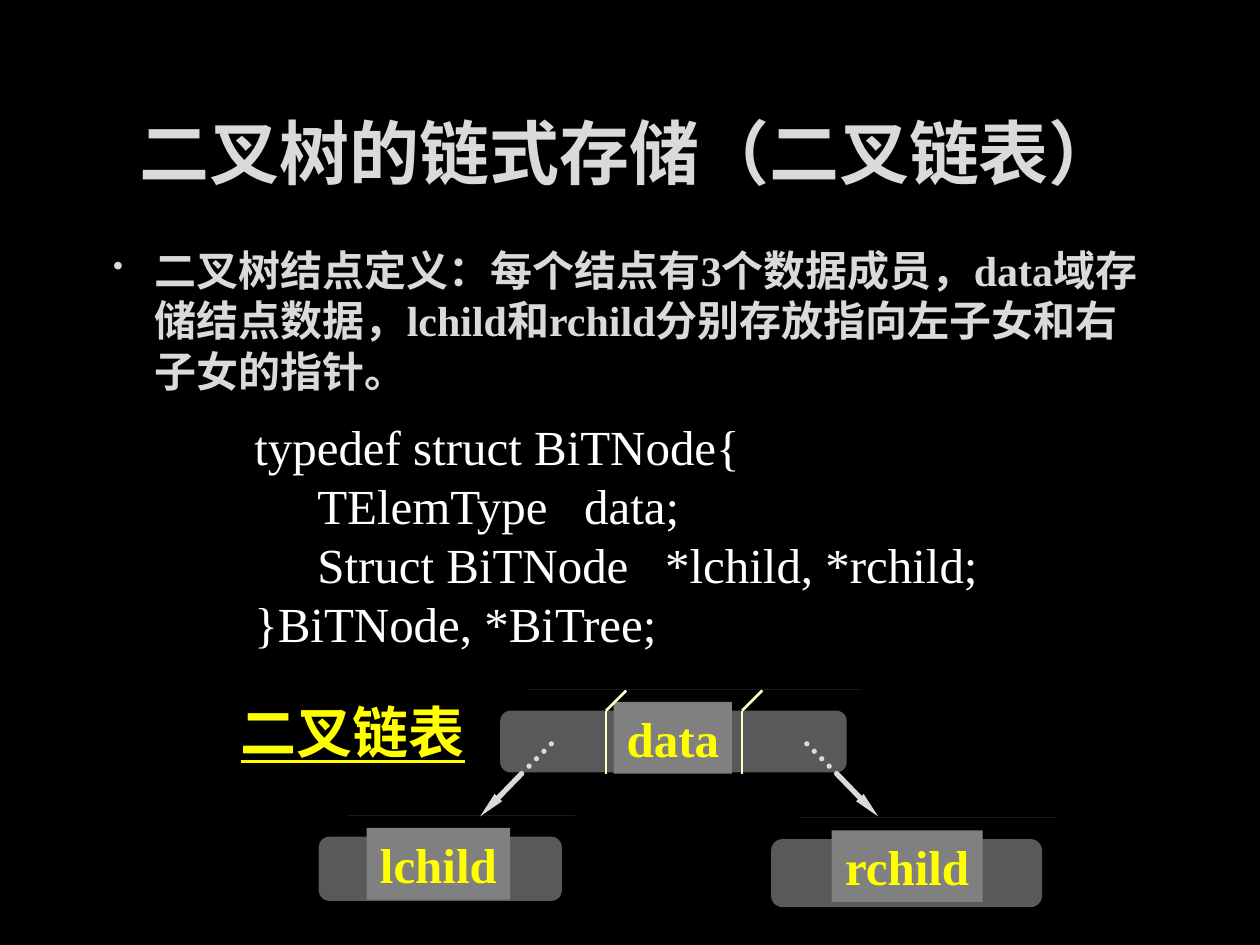
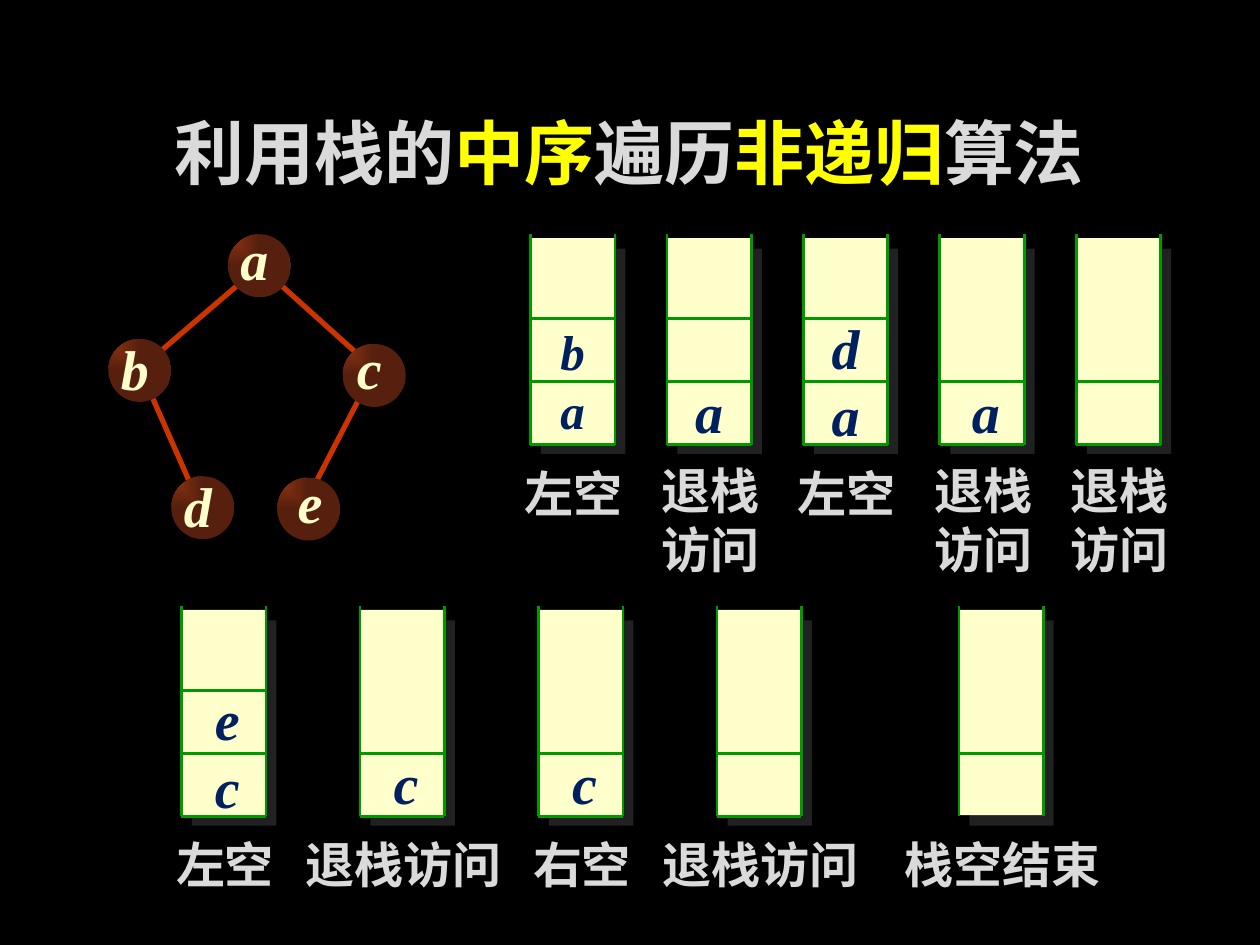
from pptx import Presentation
from pptx.dml.color import RGBColor
from pptx.enum.dml import MSO_LINE
from pptx.enum.shapes import MSO_CONNECTOR, MSO_SHAPE
from pptx.enum.text import MSO_ANCHOR, PP_ALIGN
from pptx.oxml import parse_xml
from pptx.oxml.ns import nsdecls, qn
from pptx.util import Inches, Pt

# The slide is a grid of 100 columns by 75 rows with square cells
COLS = 100
W, H = Inches(10), Inches(7.5)
CELL = W / COLS
FONT = "Times New Roman"
COLORS = {
    "background": "000000", "text": "DADADA", "code": "FFFFFF",
    "accent": "FFFF00", "block": "595959", "label": "808080",
    "rim": "1C1C1C", "cream": "FFFFCC", "edge": "CC3300",
    "node_light": "8F3514", "node_dark": "571F0D",
    "frame": "009900", "letter": "002060", "shadow": "212123",
}


def grid(n):
    return round(n * CELL)


def rgb(name):
    return RGBColor.from_string(COLORS[name])


def xml(tag, attrs="", inner=""):
    return parse_xml(f'<a:{tag} {nsdecls("a")} {attrs}>{inner}</a:{tag}>')


def add_slide(prs):
    s = prs.slides.add_slide(prs.slide_layouts[6])
    s.background.fill.solid()
    s.background.fill.fore_color.rgb = rgb("background")
    return s


def write(tf, lines, size=28, color="text", bold=True, italic=False,
          underline=False, align=PP_ALIGN.CENTER, anchor=MSO_ANCHOR.MIDDLE,
          wrap=False):
    """Each line is a string or a list of (text, colour) pairs."""
    tf.word_wrap = wrap
    tf.vertical_anchor = anchor
    for i, line in enumerate(lines):
        p = tf.paragraphs[0] if i == 0 else tf.add_paragraph()
        p.alignment = align
        for text, tint in [(line, color)] if isinstance(line, str) else line:
            r = p.add_run()
            r.text = text
            f = r.font
            f.name, f.size, f.color.rgb = FONT, Pt(size), rgb(tint)
            f.bold, f.italic, f.underline = bold, italic, underline
    return tf


def add_text(s, lines, x, y, w, h, **fmt):
    box = s.shapes.add_textbox(grid(x), grid(y), grid(w), grid(h))
    return write(box.text_frame, lines, **fmt)


def add_centered(s, lines, cx, cy, w=10, h=6, **fmt):
    return add_text(s, lines, cx - w / 2, cy - h / 2, w, h, **fmt)


def add_title(s, parts):
    add_text(s, [parts], 7.5, 6.7, 84.9, 10.6, size=40, wrap=True)


def add_box(s, kind, x, y, w, h, fill):
    sp = s.shapes.add_shape(kind, grid(x), grid(y), grid(w), grid(h))
    sp.shadow.inherit = False
    sp.line.fill.background()
    sp.fill.solid()
    sp.fill.fore_color.rgb = rgb(fill)
    return sp


def add_line(s, x1, y1, x2, y2, color, width, dotted=False, arrow=False):
    c = s.shapes.add_connector(MSO_CONNECTOR.STRAIGHT, grid(x1), grid(y1),
                               grid(x2), grid(y2))
    c.line.color.rgb = rgb(color)
    c.line.width = Pt(width)
    ln = c.line._get_or_add_ln()
    if dotted:
        c.line.dash_style = MSO_LINE.ROUND_DOT
        ln.set("cap", "rnd")
    if arrow:
        ln.append(xml("tailEnd", 'type="triangle" w="sm" len="lg"'))
    c._element.spPr.append(xml("effectLst"))


# Linked storage
def add_block(s, x, y, w, h):
    add_line(s, x + 2.3, y - 1.7, x + w + 1, y - 1.7, "rim", 0.25)
    add_box(s, MSO_SHAPE.ROUNDED_RECTANGLE, x, y, w, h, "block")


def add_field(s, text, x, y, w):
    sp = add_box(s, MSO_SHAPE.RECTANGLE, x, y, w, 5.7, "label")
    write(sp.text_frame, [text], color="accent")


def add_definition(s):
    tf = add_text(
        s, ["二叉树结点定义：每个结点有3个数据成员，data域存储结点数据，"
            "lchild和rchild分别存放指向左子女和右子女的指针。"],
        7.5, 18.9, 84.9, 13.4, size=24, align=PP_ALIGN.LEFT,
        anchor=MSO_ANCHOR.TOP, wrap=True)
    ppr = tf.paragraphs[0]._p.get_or_add_pPr()
    ppr.set("marL", str(grid(3.8)))
    ppr.set("indent", str(-grid(3.3)))
    ppr.append(xml("buClr", inner=f'<a:srgbClr val="{COLORS["text"]}"/>'))
    ppr.append(xml("buSzPct", 'val="70000"'))
    ppr.append(xml("buChar", 'char="•"'))


def add_code(s):
    tf = add_text(
        s, ["typedef struct BiTNode{", "\tTElemType   data;",
            "\tStruct BiTNode   *lchild, *rchild;", "}BiTNode, *BiTree;"],
        19.2, 32.6, 73.2, 19.9, color="code", bold=False,
        align=PP_ALIGN.LEFT, anchor=MSO_ANCHOR.TOP, wrap=True)
    for p in tf.paragraphs:
        stop = f'<a:tab pos="{grid(5)}" algn="l"/>'
        p._p.get_or_add_pPr().append(xml("tabLst", inner=stop))


def add_linked_node(s):
    add_block(s, 39.7, 56.4, 27.5, 4.9)
    add_block(s, 61.2, 66.6, 21.5, 5.4)
    add_block(s, 25.3, 66.4, 19.3, 5.1)
    add_field(s, "data", 48.7, 55.7, 9.4)
    add_field(s, "lchild", 29.1, 65.7, 11.4)
    add_field(s, "rchild", 66, 65.9, 12)
    for x in (48.1, 58.9):  # field dividers
        add_line(s, x, 61.4, x, 56.4, "cream", 1.5)
        add_line(s, x, 56.4, x + 1.6, 54.8, "cream", 1.5)
    for x, side in ((41.4, -1), (66.4, 1)):  # child pointers
        add_line(s, x, 61.4, x + side * 3.3, 64.8, "text", 3, arrow=True)
        add_line(s, x, 61.4, x - side * 2.5, 58.9, "text", 3, dotted=True)
    add_centered(s, ["二叉链表"], 28, 58, 19.9, size=32, color="accent",
                 underline=True)


# Inorder traversal
def add_tree_node(s, letter, x, y, dx, dy):
    """Centre of the circle, then the letter's shift from it."""
    sp = add_box(s, MSO_SHAPE.OVAL, x - 2.5, y - 2.5, 5, 5, "node_dark")
    sp.fill.gradient()
    for stop, name in zip(sp.fill.gradient_stops, ("node_light", "node_dark")):
        stop.color.rgb = rgb(name)
    grad = sp._element.spPr.find(qn("a:gradFill"))
    grad.remove(grad.find(qn("a:lin")))
    grad.append(xml("path", 'path="rect"',
                    '<a:fillToRect r="100000" b="100000"/>'))
    add_centered(s, [letter], x + dx, y + dy, 4.2, 6.3, size=32,
                 color="cream", italic=True)


def add_tree(s):
    for edge in ((29.2, 30.3, 24.7, 39), (11.9, 31.1, 15.2, 38.6),
                 (21.6, 22, 28.6, 28.3), (19.6, 22, 11.9, 28.6)):
        add_line(s, *edge, "edge", 3)
    for node in (("a", 20.6, 21.1, -0.4, -0.6), ("b", 11.1, 29.4, -0.4, -0.2),
                 ("c", 29.7, 29.8, -0.4, -0.7), ("d", 16.1, 40.3, -0.4, -0.2),
                 ("e", 24.5, 40.4, 0.1, -0.6)):
        add_tree_node(s, *node)


def add_stack(s, x, y, letters, caption, split=True, closed=True, size=32,
              shift=0.3):
    """split adds the upper divider, closed the bottom line."""
    w, h = 6.7, 16.7
    mid = x + w / 2
    sp = add_box(s, MSO_SHAPE.RECTANGLE, x, y + 0.3, w, 16.3, "cream")
    shade = f'<a:srgbClr val="{COLORS["shadow"]}"/>'
    sp._element.spPr.find(qn("a:effectLst")).append(
        xml("outerShdw", f'dist="{Pt(8.5)}" dir="2700000" algn="ctr" '
            'rotWithShape="0"', shade))
    for side in (x, x + w):
        add_line(s, side, y, side, y + h, "frame", 1.5)
    for level, shown in ((6.7, split), (11.7, True), (h, closed)):
        if shown:
            add_line(s, x, y + level, x + w, y + level, "frame", 1.5)
    if letters:
        cy = y + (14 if len(letters) == 1 else 11.6)
        add_centered(s, list(letters), mid + shift, cy, 4.2,
                     6.3 * len(letters), size=size, color="letter",
                     italic=True)
    lines = caption.split("\n")
    add_centered(s, lines, mid + 0.1, y + (20.5 if len(lines) == 1 else 22.6),
                 9.9 if len(caption) != 4 else 19.9, 5.7 * len(lines))


def add_stacks(s):
    pop = "退栈\n访问"
    top = [(["b", "a"], "左空", dict(size=28, shift=0)),
           (["a"], pop, dict(shift=0)),
           (["d", "a"], "左空", dict(shift=0)),
           (["a"], pop, dict(split=False)),
           ([], pop, dict(split=False))]
    for i, (letters, caption, opts) in enumerate(top):
        add_stack(s, 42.1 + 10.83 * i, 18.6, letters, caption, **opts)
    bottom = [(["e", "c"], "左空", {}),
              (["c"], "退栈访问", dict(split=False)),
              (["c"], "右空", dict(split=False)),
              ([], "退栈访问", dict(split=False))]
    for i, (letters, caption, opts) in enumerate(bottom):
        add_stack(s, 14.4 + 14.17 * i, 48.1, letters, caption, **opts)
    add_stack(s, 76.1, 48.1, [], "栈空结束", split=False, closed=False)


def main():
    prs = Presentation()
    prs.slide_width, prs.slide_height = W, H

    s = add_slide(prs)
    add_title(s, "二叉树的链式存储（二叉链表）")
    add_definition(s)
    add_code(s)
    add_linked_node(s)

    s = add_slide(prs)
    add_title(s, [("利用栈的", "text"), ("中序", "accent"), ("遍历", "text"),
                  ("非递归", "accent"), ("算法", "text")])
    add_tree(s)
    add_stacks(s)

    prs.save("out.pptx")


if __name__ == "__main__":
    main()
